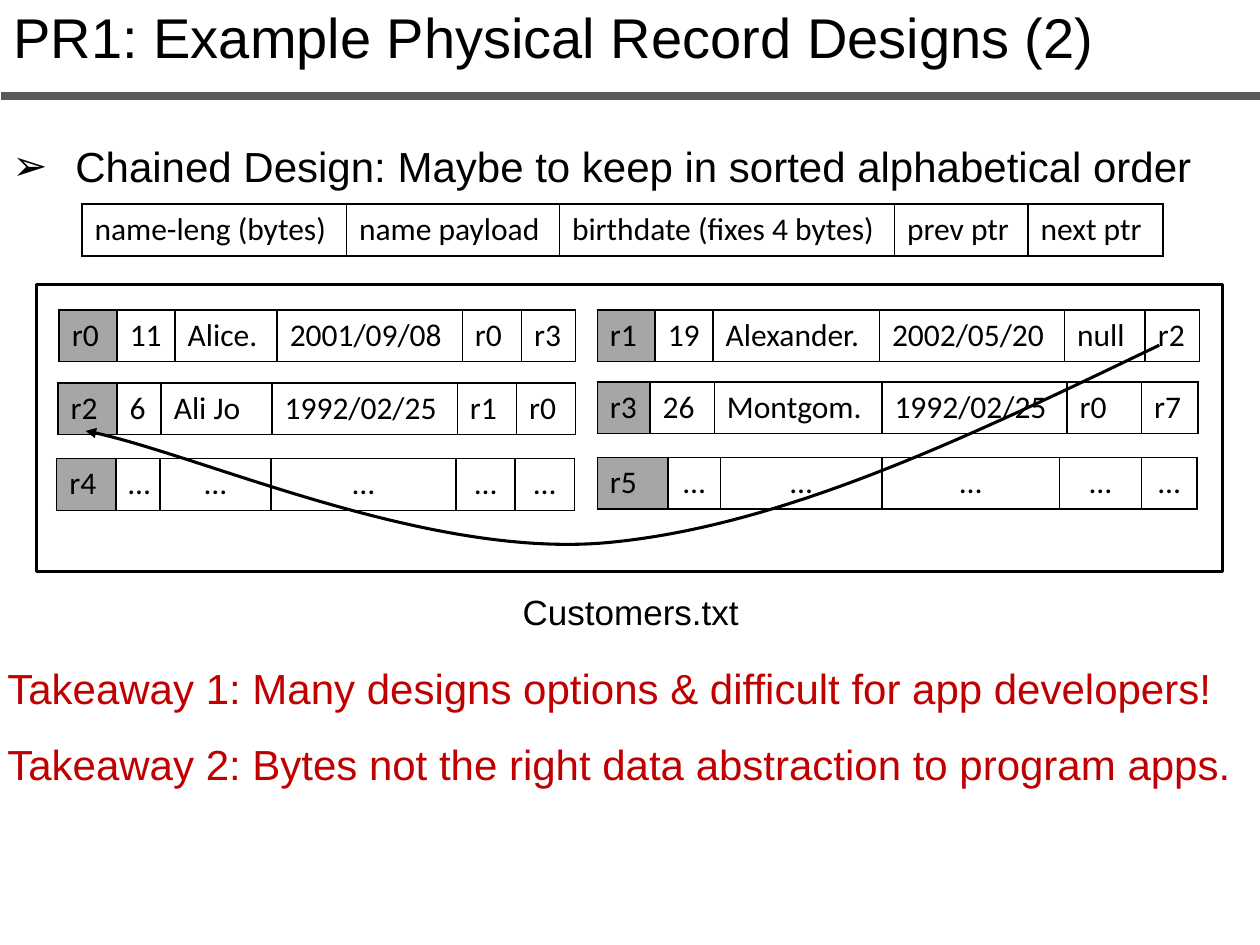
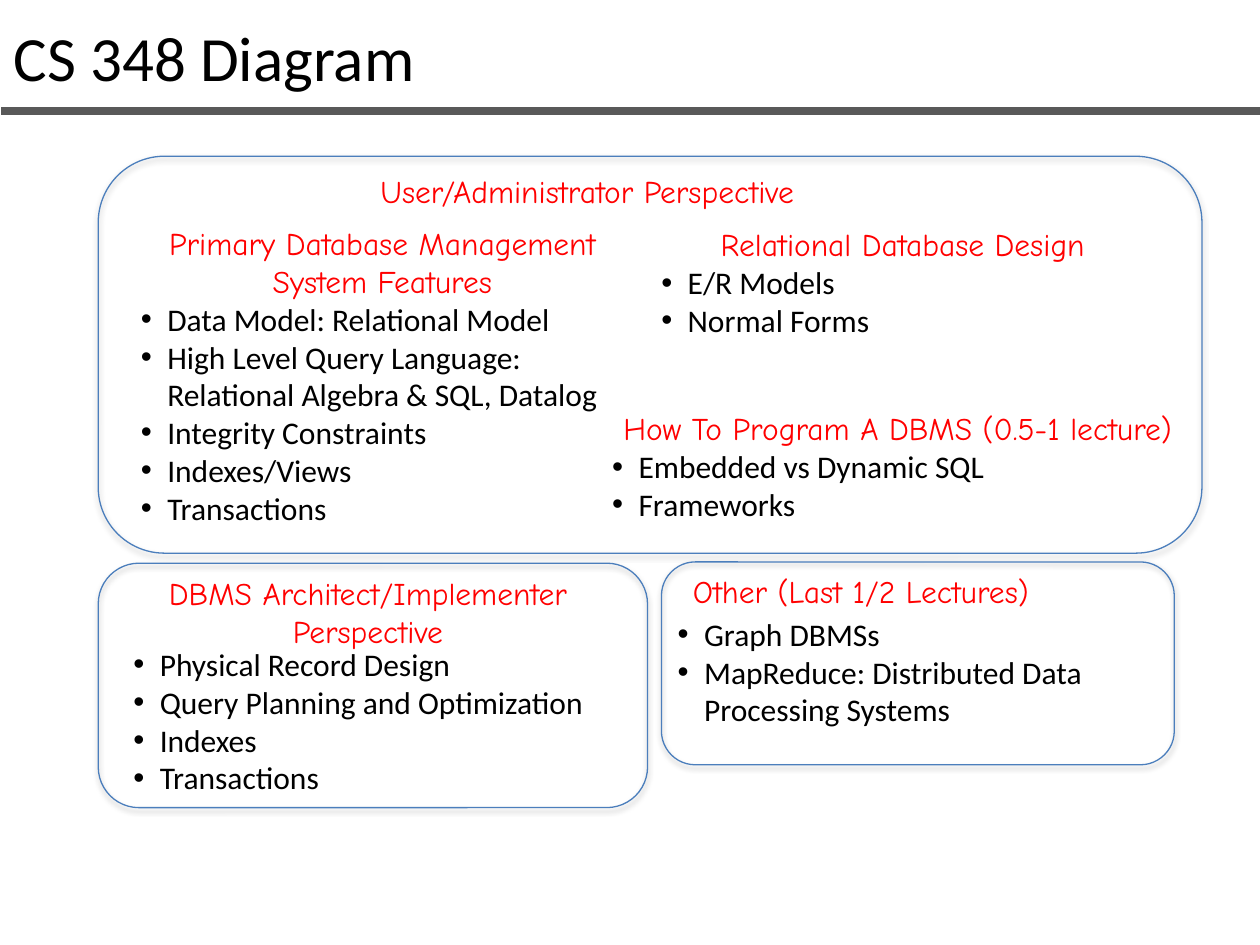
from lxml.etree import SubElement
from pptx import Presentation
from pptx.dml.color import RGBColor
from pptx.enum.shapes import MSO_CONNECTOR as Connector, MSO_SHAPE as Shape
from pptx.enum.text import PP_ALIGN as Align
from pptx.oxml import parse_xml
from pptx.oxml.ns import nsdecls, qn
from pptx.util import Inches, Pt

COLORS = {"ink": "000000", "rule": "595959", "key": "A6A6A6", "takeaway": "C00000",
          "heading": "FF0000", "frame": "4B7EBC"}

TEXT_STYLES = {
    "title": dict(font="Arial", size=32),
    "diagram title": dict(font="Calibri", size=36),
    "design": dict(font="Arial", size=24, spacing=1.5, bullet="➢", indent=(0.5, -0.5)),
    "caption": dict(font="Arial", size=20),
    "takeaway": dict(font="Arial", size=24, color="takeaway", spacing=1.5),
    "field": dict(font="Calibri", size=18),
    "elided": dict(font="Calibri", size=18, align=Align.CENTER),
    "area": dict(font="Comic Neue", size=18, color="heading", align=Align.CENTER),
    "left area": dict(font="Comic Neue", size=18, color="heading"),
    "topic": dict(font="Comic Neue", size=18, color="heading", align=Align.CENTER,
                  indent=(0.1, 0)),
    "item": dict(font="Calibri", size=18, bullet="•", indent=(0.31, -0.21)),
}


def rgb(name):
    """Return the colour stored under a name."""
    return RGBColor.from_string(COLORS[name])


class Deck:
    """Holds the presentation style and the slide being filled."""

    def __init__(self):
        """Start an empty 10 by 7.5 inch presentation."""
        self.prs = Presentation()
        self.prs.slide_width, self.prs.slide_height = Inches(10), Inches(7.5)

    def start_slide(self, title, style, top, width, height, rule_y):
        """Add a slide with its title and the rule below it."""
        self.slide = self.prs.slides.add_slide(self.prs.slide_layouts[6])
        self.text(0.01, top, width, height, (style, title))
        rule = self.slide.shapes.add_connector(
            Connector.STRAIGHT, Inches(0.01), Inches(rule_y), Inches(10.01), Inches(rule_y))
        rule.line.color.rgb, rule.line.width = rgb("rule"), Pt(4.5)
        SubElement(rule._element.spPr, qn("a:effectLst"))

    def fill_paragraph(self, paragraph, style, words):
        """Fill one paragraph in a named text style."""
        look = TEXT_STYLES[style]
        paragraph.alignment = look.get("align", Align.LEFT)
        if "spacing" in look:
            paragraph.line_spacing = look["spacing"]
        props = paragraph._p.get_or_add_pPr()
        if "indent" in look:
            margin, first = look["indent"]
            props.set("marL", str(Inches(margin)))
            props.set("indent", str(Inches(first)))
        if "bullet" in look:
            SubElement(props, qn("a:buFont"), typeface="Arial")
            SubElement(props, qn("a:buChar"), char=look["bullet"])
        run = paragraph.add_run()
        run.text = words
        run.font.name, run.font.size = look["font"], Pt(look["size"])
        run.font.color.rgb = rgb(look.get("color", "ink"))

    def text(self, left, top, width, height, *paragraphs):
        """Add a text box from (style, words) pairs."""
        frame = self.slide.shapes.add_textbox(
            Inches(left), Inches(top), Inches(width), Inches(height)).text_frame
        frame.word_wrap = True
        for index, (style, words) in enumerate(paragraphs):
            paragraph = frame.add_paragraph() if index else frame.paragraphs[0]
            self.fill_paragraph(paragraph, style, words)

    def record(self, left, top, widths, fields, keyed=True):
        """Add a one-row table, with its first cell shaded if it is a key."""
        height = Inches(0.41)
        table = self.slide.shapes.add_table(
            1, len(fields), Inches(left), Inches(top), Inches(sum(widths)), height).table
        table.first_row = table.horz_banding = False
        table.rows[0].height = height
        for index, (width, words) in enumerate(zip(widths, fields)):
            table.columns[index].width = Inches(width)
            cell = table.cell(0, index)
            self.fill_paragraph(cell.text_frame.paragraphs[0],
                                "elided" if words == "…" else "field", words)
            if keyed and index == 0:
                cell.fill.solid()
                cell.fill.fore_color.rgb = rgb("key")
            else:
                cell.fill.background()
            props = cell._tc.get_or_add_tcPr()
            for place, side in enumerate("LRTB"):
                props.insert(place, parse_xml(
                    f'<a:ln{side} {nsdecls("a")} w="{Pt(1)}"><a:solidFill>'
                    f'<a:srgbClr val="{COLORS["ink"]}"/></a:solidFill></a:ln{side}>'))

    def outline(self, shape, color, width):
        """Leave a shape unfilled, with a plain line."""
        shape.shadow.inherit = False
        shape.fill.background()
        shape.line.color.rgb, shape.line.width = rgb(color), Pt(width)

    def box(self, kind, left, top, width, height, color, line):
        """Add an unfilled preset shape."""
        shape = self.slide.shapes.add_shape(
            kind, Inches(left), Inches(top), Inches(width), Inches(height))
        self.outline(shape, color, line)
        return shape

    def panel(self, left, top, width, height):
        """Add a rounded frame with a soft shadow."""
        frame = self.box(Shape.ROUNDED_RECTANGLE, left, top, width, height, "frame", 0.75)
        effects = frame._element.spPr.find(qn("a:effectLst"))
        effects.append(parse_xml(
            f'<a:outerShdw {nsdecls("a")} blurRad="{Pt(3.1)}" dist="{Pt(1.8)}" dir="5400000" '
            f'rotWithShape="0"><a:srgbClr val="{COLORS["ink"]}"><a:alpha val="35000"/>'
            '</a:srgbClr></a:outerShdw>'))

    def curved_arrow(self, start, *controls):
        """Add an open curve of cubic segments that ends in an arrowhead."""
        builder = self.slide.shapes.build_freeform(Inches(start[0]), Inches(start[1]))
        builder.add_line_segments([(Inches(x), Inches(y)) for x, y in controls], close=False)
        arrow = builder.convert_to_shape()
        self.outline(arrow, "ink", 1.75)
        route = next(arrow._element.iter(qn("a:path")))
        route.set("fill", "none")
        for index, step in enumerate(route.findall(qn("a:lnTo"))):
            if index % 3 == 0:
                curve = SubElement(route, qn("a:cubicBezTo"))
            curve.append(step[0])
            route.remove(step)
        SubElement(arrow.line._get_or_add_ln(), qn("a:tailEnd"), type="triangle")


def build_record_slide(deck):
    """Show records chained by pointers."""
    deck.start_slide("PR1: Example Physical Record Designs (2)", "title", -0.03, 10, 0.64, 0.76)
    deck.text(0, 0.87, 10, 0.63,
              ("design", "Chained Design: Maybe to keep in sorted alphabetical order"))
    deck.record(0.65, 1.62, (2.1, 1.69, 2.66, 1.06, 1.07),
                ("name-leng (bytes)", "name payload", "birthdate (fixes 4 bytes)",
                 "prev ptr", "next ptr"), keyed=False)
    elided = ("…",) * 5
    short_widths = (0.47, 0.35, 0.88, 1.47, 0.47, 0.47)
    records = [
        (0.47, 2.46, (0.46, 0.46, 0.81, 1.47, 0.47, 0.43),
         ("r0", "11", "Alice.", "2001/09/08", "r0", "r3")),
        (4.74, 2.46, (0.46, 0.46, 1.32, 1.47, 0.64, 0.43),
         ("r1", "19", "Alexander.", "2002/05/20", "null", "r2")),
        (0.46, 3.04, short_widths, ("r2", "6", "Ali Jo", "1992/02/25", "r1", "r0")),
        (4.74, 3.03, (0.42, 0.51, 1.33, 1.47, 0.59, 0.45),
         ("r3", "26", "Montgom.", "1992/02/25", "r0", "r7")),
        (0.45, 3.64, short_widths, ("r4", *elided)),
        (4.74, 3.63, (0.56, 0.42, 1.28, 1.41, 0.65, 0.44), ("r5", *elided)),
    ]
    for record in records:
        deck.record(*record)
    deck.text(4.05, 4.64, 2.23, 0.44, ("caption", "Customers.txt"))
    deck.text(-0.04, 5.01, 10, 1.24,
              ("takeaway", "Takeaway 1: Many designs options & difficult for app developers!"),
              ("takeaway", "Takeaway 2: Bytes not the right data abstraction to program apps."))
    deck.box(Shape.RECTANGLE, 0.29, 2.26, 9.41, 2.28, "ink", 1.75)
    deck.curved_arrow((9.2, 2.74), (7.7, 3.46), (6.2, 4.19), (4.78, 4.31),
                      (3.36, 4.42), (1.52, 3.58), (0.68, 3.42))


def build_course_slide(deck):
    """Show the course topics grouped by perspective."""
    deck.start_slide("CS 348 Diagram", "diagram title", 0.1, 8.62, 0.71, 0.88)
    for panel in ((0.78, 1.24, 8.76, 3.15), (0.78, 4.47, 4.36, 1.94), (5.25, 4.46, 4.07, 1.61)):
        deck.panel(*panel)
    deck.text(1.63, 1.32, 6.06, 0.4, ("area", "User/Administrator Perspective"))
    deck.text(0.98, 4.51, 3.88, 0.71, ("area", "DBMS Architect/Implementer Perspective"))
    deck.text(5.4, 4.49, 3.44, 0.4, ("left area", "Other (Last 1/2 Lectures)"))
    topics = [
        (0.92, 1.73, 4.13, 2.52, "Primary Database Management System Features",
         ("Data Model: Relational Model",
          "High Level Query Language: Relational Algebra & SQL, Datalog",
          "Integrity Constraints", "Indexes/Views", "Transactions")),
        (5.05, 1.74, 4.13, 1.01, "Relational Database Design", ("E/R Models", "Normal Forms")),
        (4.66, 3.2, 4.83, 1.01, "How To Program A DBMS (0.5-1 lecture)",
         ("Embedded vs Dynamic SQL", "Frameworks")),
        (0.86, 5.07, 4.28, 1.31, None,
         ("Physical Record Design", "Query Planning and Optimization", "Indexes",
          "Transactions")),
        (5.18, 4.83, 4.02, 1.01, None,
         ("Graph DBMSs", "MapReduce: Distributed Data Processing Systems")),
    ]
    for left, top, width, height, topic, items in topics:
        heading = [("topic", topic)] if topic else []
        deck.text(left, top, width, height, *heading, *(("item", item) for item in items))


def main():
    """Build and save both slides."""
    deck = Deck()
    build_record_slide(deck)
    build_course_slide(deck)
    deck.prs.save("out.pptx")


if __name__ == "__main__":
    main()
